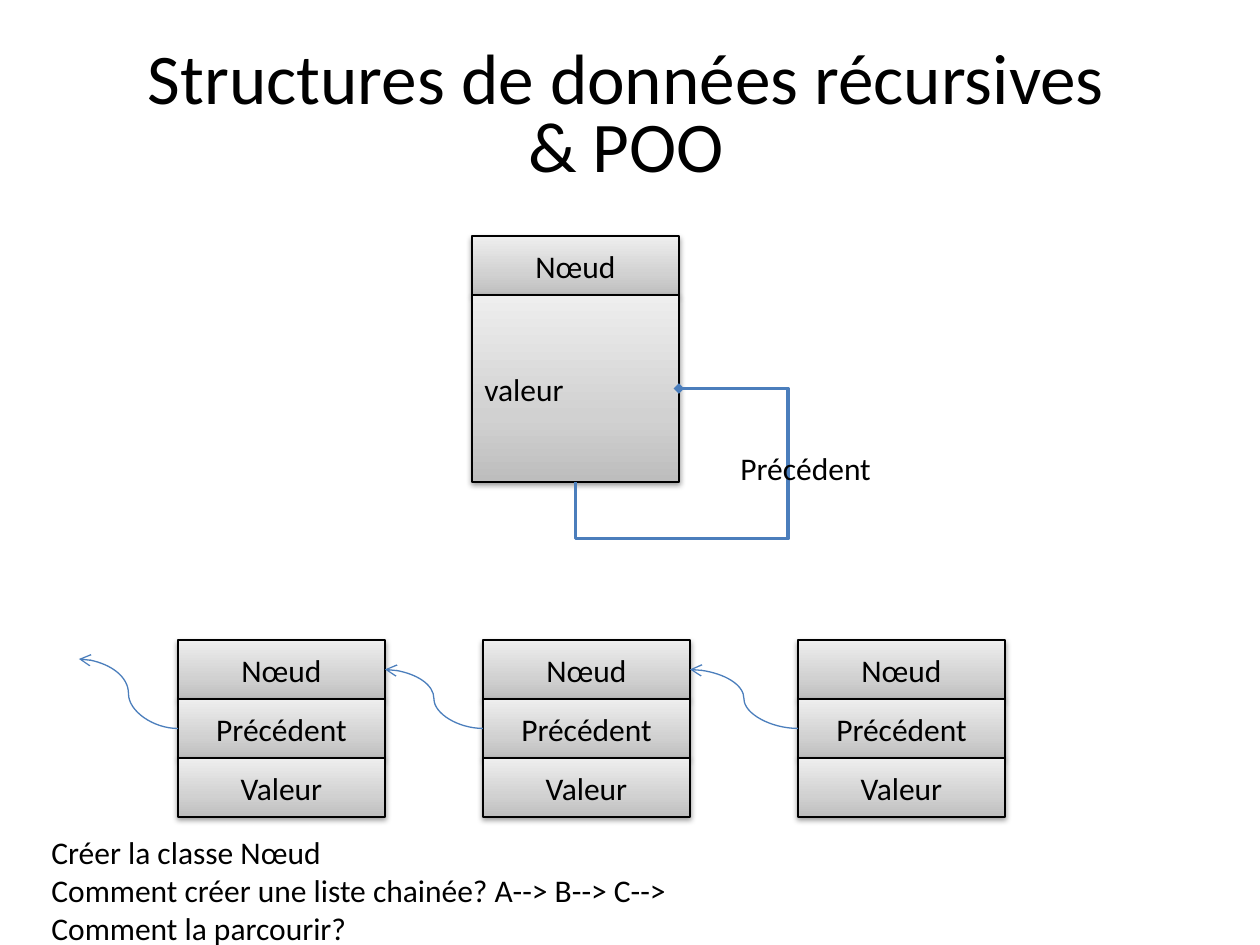
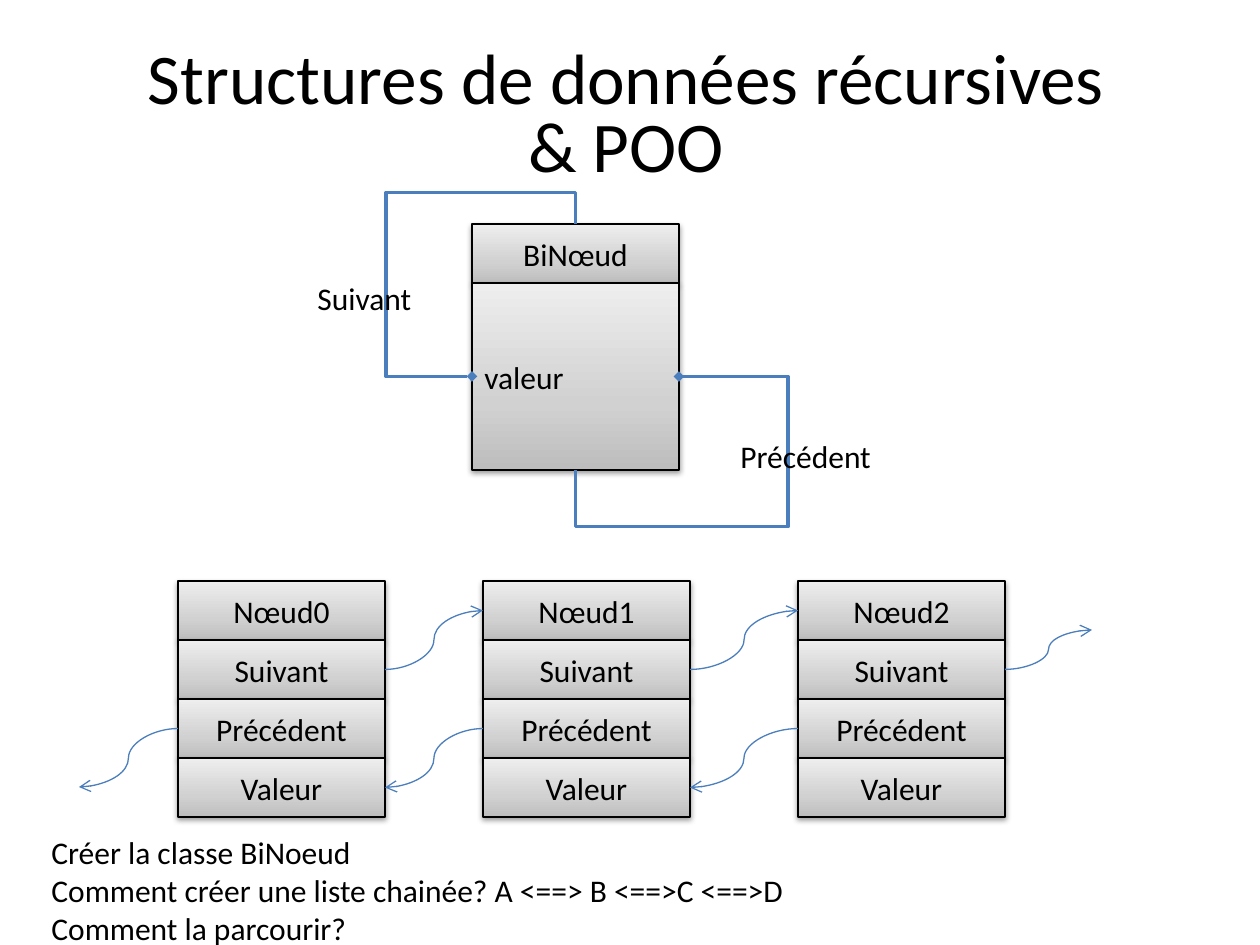
from pptx import Presentation
from pptx.dml.color import RGBColor
from pptx.enum.shapes import MSO_CONNECTOR as CONN, MSO_SHAPE
from pptx.enum.text import MSO_ANCHOR as ANCHOR, PP_ALIGN as ALIGN
from pptx.oxml import parse_xml
from pptx.oxml.ns import nsdecls, qn
from pptx.util import Pt
from lxml import etree

PX = 914400 / 126
NS = nsdecls("a")
TOP, LEFT, BOTTOM, RIGHT = range(4)  # connection sites of a rectangle
BLUE, BLACK = "4B7EBC", "000000"

GRADIENT = f"""<a:gradFill {NS} rotWithShape="1"><a:gsLst>
<a:gs pos="0"><a:srgbClr val="BDBDBD"/></a:gs>
<a:gs pos="35000"><a:srgbClr val="D1D1D1"/></a:gs>
<a:gs pos="100000"><a:srgbClr val="EEEEEE"/></a:gs>
</a:gsLst><a:lin ang="16200000" scaled="0"/></a:gradFill>"""
SHADOW = f"""<a:effectLst {NS}><a:outerShdw blurRad="40000" dist="20000" dir="5400000" rotWithShape="0">
<a:srgbClr val="000000"><a:alpha val="38000"/></a:srgbClr></a:outerShdw></a:effectLst>"""

# Grid shared by both slides
BOX_W, ROW_H, BODY_H = 207, 59, 187
STACK_X, STACK_BOTTOM = [178, 483, 798], 817
CLASS_X = 472

SLIDES = [
    dict(name="Nœud", top=236, heads=["Nœud"] * 3, fields=["Précédent", "Valeur"],
         back=(1, 0, (79, 659)), forward=None,
         questions=["Créer la classe Nœud",
                    "Comment créer une liste chainée? A--> B--> C-->",
                    "Comment la parcourir?"]),
    dict(name="BiNœud", top=224, heads=["Nœud0", "Nœud1", "Nœud2"],
         fields=["Suivant", "Précédent", "Valeur"],
         back=(2, 3, (79, 787)), forward=(1, 0, (1092, 630)),
         questions=["Créer la classe BiNoeud",
                    "Comment créer une liste chainée? A <==> B <==>C <==>D",
                    "Comment la parcourir?"]),
]


def add_text(s, x, y, w, h, lines, size=18, align=ALIGN.LEFT, box=False, wrap=True, spacing=None):
    """Add a text box, or a shaded rectangle when box is set."""
    pos = [round(v * PX) for v in (x, y, w, h)]
    if box:
        sp = s.shapes.add_shape(MSO_SHAPE.RECTANGLE, *pos)
        sp.line.color.rgb = RGBColor.from_string(BLACK)
        sp.line.width = Pt(0.75)
        sp_pr = sp._element.spPr
        sp_pr.find(qn("a:ln")).addprevious(parse_xml(GRADIENT))
        sp_pr.append(parse_xml(SHADOW))
    else:
        sp = s.shapes.add_textbox(*pos)
    tf = sp.text_frame
    tf.word_wrap = wrap
    tf.vertical_anchor = ANCHOR.MIDDLE if box or spacing else ANCHOR.TOP
    tf.text = "\n".join(lines)
    for p in tf.paragraphs:
        p.alignment, p.line_spacing = align, spacing
        p.font.name, p.font.size = "Calibri", Pt(size)
        p.font.color.rgb = RGBColor.from_string(BLACK)
    return sp


def add_link(s, start, start_site, end, end_site=None, adjust=None):
    """Curved arrow, or a bent loop with a diamond when adjust is given.
    The end is a box with its site, or a free point."""
    point = (0, 0) if end_site is not None else [round(v * PX) for v in end]
    c = s.shapes.add_connector(CONN.ELBOW if adjust else CONN.CURVE, 0, 0, *point)
    c.begin_connect(start, start_site)
    if end_site is not None:
        c.end_connect(end, end_site)
    c.line.color.rgb = RGBColor.from_string(BLUE)
    c.line.width = Pt(2 if adjust else 0.75)
    sp_pr = c._element.spPr
    ln = sp_pr.find(qn("a:ln"))
    if adjust:
        geom = sp_pr.find(qn("a:prstGeom"))
        geom.set("prst", "bentConnector4")
        guides = geom.find(qn("a:avLst"))
        for i, value in enumerate(adjust, 1):
            etree.SubElement(guides, qn("a:gd"), name=f"adj{i}", fmla=f"val {value}")
        etree.SubElement(ln, qn("a:headEnd"), type="diamond")
    else:
        etree.SubElement(ln, qn("a:tailEnd"), type="arrow")
    etree.SubElement(sp_pr, qn("a:effectLst"))


prs = Presentation()
prs.slide_width, prs.slide_height = round(1260 * PX), round(945 * PX)

for d in SLIDES:
    s = prs.slides.add_slide(prs.slide_layouts[6])
    top = d["top"]

    # Linked nodes
    row_count = 1 + len(d["fields"])
    stacks = []
    for x, head in zip(STACK_X, d["heads"]):
        stacks.append([add_text(s, x, STACK_BOTTOM - (row_count - i) * ROW_H, BOX_W, ROW_H,
                                [label], align=ALIGN.CENTER, box=True)
                       for i, label in enumerate([head] + d["fields"])])

    # Arrows to the previous node, then to the next one
    for step, links, out, into in ((-1, d["back"], LEFT, RIGHT), (1, d["forward"], RIGHT, LEFT)):
        if not links:
            continue
        source, target, free_end = links
        for i, stack in enumerate(stacks):
            if 0 <= i + step < len(stacks):
                add_link(s, stack[source], out, stacks[i + step][target], into)
            else:
                add_link(s, stack[source], out, free_end)

    # Class diagram
    header = add_text(s, CLASS_X, top, BOX_W, ROW_H, [d["name"]], align=ALIGN.CENTER, box=True)
    body = add_text(s, CLASS_X, top + ROW_H, BOX_W, BODY_H, ["valeur"], box=True)
    add_link(s, body, RIGHT, body, BOTTOM, adjust=(-105500, 160600))
    add_text(s, 728, top + 207, 158, 50, ["Précédent"], wrap=False)
    if d["forward"]:
        add_link(s, body, LEFT, header, TOP, adjust=(-83000, 120600))
        add_text(s, 305, top + 49, 120, 50, ["Suivant"], wrap=False)

    # Title and questions
    add_text(s, 59, 39, 1134, 158, ["Structures de données récursives", "& POO"],
             size=40.7, align=ALIGN.CENTER, spacing=0.8)
    add_text(s, 39, 827, 1181, 127, d["questions"])

prs.save("out.pptx")
